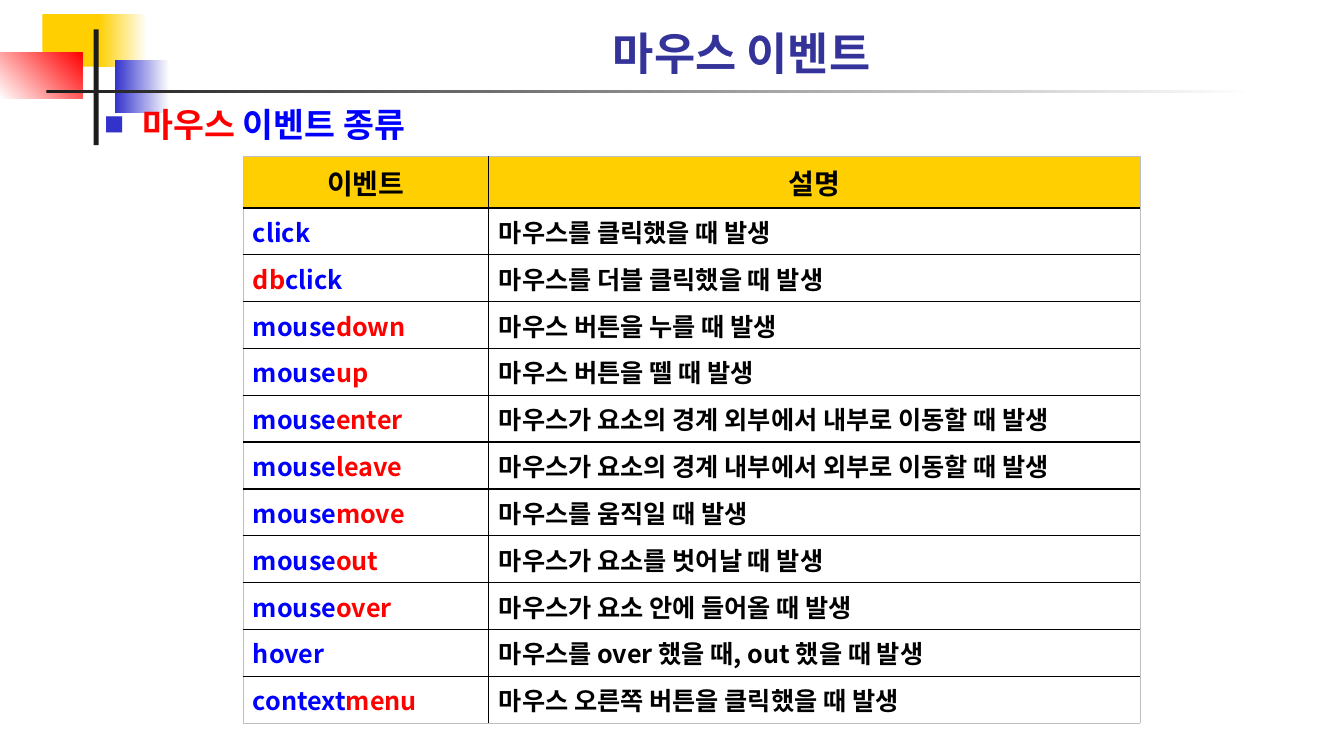
from dataclasses import dataclass
from typing import NamedTuple

from lxml.etree import SubElement
from pptx import Presentation
from pptx.dml.color import RGBColor
from pptx.enum.shapes import MSO_SHAPE
from pptx.enum.text import MSO_ANCHOR, MSO_AUTO_SIZE, PP_ALIGN
from pptx.oxml import parse_xml
from pptx.oxml.ns import nsdecls, qn
from pptx.util import Cm, Pt


@dataclass(frozen=True)
class Theme:
    font: str = "Noto Sans CJK KR"
    title: str = "333399"
    blue: str = "0000FF"
    red: str = "FF0000"
    yellow: str = "FFCF01"
    square: str = "3333CC"
    bar: str = "1C1C1C"
    black: str = "000000"
    white: str = "FFFFFF"
    edge: str = "BFBFBF"
    title_size: int = 32
    body_size: int = 24
    head_size: int = 20
    cell_size: int = 18


class Block(NamedTuple):
    left: float
    top: float
    width: float
    height: float
    color: str
    end: str = ""
    angle: int = 0


class Event(NamedTuple):
    name: tuple[tuple[str, str], ...]
    text: str


T = Theme()

BLOCKS = [
    Block(1.07, 0.36, 1.63, 1.32, T.yellow),
    Block(2.49, 0.36, 1.22, 1.32, T.yellow, T.white),
    Block(2.9, 1.52, 1.37, 1.32, T.square, T.white),
    Block(0, 1.32, 2.08, 1.17, T.white, T.red, 45),
    Block(2.36, 0.74, 0.13, 2.92, T.bar),
    Block(1.17, 2.26, 30.48, 0.08, T.bar, T.white),
]


def mouse(action: str) -> tuple[tuple[str, str], ...]:
    return ("mouse", T.blue), (action, T.red)


EVENTS = [
    Event((("click", T.blue),), "마우스를 클릭했을 때 발생"),
    Event((("db", T.red), ("click", T.blue)), "마우스를 더블 클릭했을 때 발생"),
    Event(mouse("down"), "마우스 버튼을 누를 때 발생"),
    Event(mouse("up"), "마우스 버튼을 뗄 때 발생"),
    Event(mouse("enter"), "마우스가 요소의 경계 외부에서 내부로 이동할 때 발생"),
    Event(mouse("leave"), "마우스가 요소의 경계 내부에서 외부로 이동할 때 발생"),
    Event(mouse("move"), "마우스를 움직일 때 발생"),
    Event(mouse("out"), "마우스가 요소를 벗어날 때 발생"),
    Event(mouse("over"), "마우스가 요소 안에 들어올 때 발생"),
    Event((("hover", T.blue),), "마우스를 over 했을 때, out 했을 때 발생"),
    Event((("context", T.blue), ("menu", T.red)), "마우스 오른쪽 버튼을 클릭했을 때 발생"),
]


def add_text(p, text: str, *, size: int, color: str = T.black) -> None:
    r = p.add_run()
    r.text = text
    r.font.name = T.font
    r.font.size = Pt(size)
    r.font.bold = True
    r.font.color.rgb = RGBColor.from_string(color)
    SubElement(r.font._element, qn("a:ea"), typeface=T.font)


def add_block(slide, block: Block) -> None:
    box = map(Cm, block[:4])
    sp = slide.shapes.add_shape(MSO_SHAPE.RECTANGLE, *box)
    sp.shadow.inherit = False
    sp.line.fill.background()
    if block.end:
        sp.fill.gradient()
        sp.fill.gradient_angle = block.angle
        for stop, color in zip(sp.fill.gradient_stops, (block.color, block.end)):
            stop.color.rgb = RGBColor.from_string(color)
    else:
        sp.fill.solid()
        sp.fill.fore_color.rgb = RGBColor.from_string(block.color)


def place(sp, left: float, top: float, width: float, height: float, anchor: MSO_ANCHOR):
    sp.left, sp.top, sp.width, sp.height = map(Cm, (left, top, width, height))
    tf = sp.text_frame
    tf.auto_size = MSO_AUTO_SIZE.NONE
    tf.vertical_anchor = anchor
    return tf.paragraphs[0]


def add_bullet(p) -> None:
    pPr = p._p.get_or_add_pPr()
    pPr.set("marL", str(Cm(0.95)))
    pPr.set("indent", str(Cm(-0.95)))
    SubElement(SubElement(pPr, qn("a:buClr")), qn("a:srgbClr"), val=T.square)
    SubElement(pPr, qn("a:buSzPct"), val="60000")
    SubElement(pPr, qn("a:buFont"), typeface=T.font)
    SubElement(pPr, qn("a:buChar"), char="■")


def set_borders(cell, outer: dict[str, bool]) -> None:
    tcPr = cell._tc.get_or_add_tcPr()
    for i, (side, is_outer) in enumerate(outer.items()):
        width, color = (Pt(0.5), T.edge) if is_outer else (Pt(1), T.black)
        tcPr.insert(i, parse_xml(
            f'<a:ln{side} {nsdecls("a")} w="{width}"><a:solidFill>'
            f'<a:srgbClr val="{color}"/></a:solidFill></a:ln{side}>'))


def add_event_table(slide) -> None:
    rows = len(EVENTS) + 1
    head_height, row_height = Cm(1.3), Cm(1.18)
    widths = Cm(6.2), Cm(16.41)
    height = head_height + row_height * len(EVENTS)
    table = slide.shapes.add_table(
        rows, 2, Cm(6.12), Cm(3.94), sum(widths), height).table
    table.first_row = table.horz_banding = False
    for column, width in zip(table.columns, widths):
        column.width = width
    for row in table.rows:
        row.height = row_height
    table.rows[0].height = head_height

    content = [((("이벤트", T.black),), (("설명", T.black),))]
    content += [(event.name, ((event.text, T.black),)) for event in EVENTS]
    for y, line in enumerate(content):
        for x, runs in enumerate(line):
            cell = table.cell(y, x)
            cell.vertical_anchor = MSO_ANCHOR.MIDDLE
            p = cell.text_frame.paragraphs[0]
            p.alignment = PP_ALIGN.LEFT if y else PP_ALIGN.CENTER
            for text, color in runs:
                add_text(p, text, size=T.cell_size if y else T.head_size, color=color)
            if y:
                cell.fill.background()
            else:
                cell.fill.solid()
                cell.fill.fore_color.rgb = RGBColor.from_string(T.yellow)
            set_borders(cell, {"L": x == 0, "R": x == 1, "T": y == 0, "B": y == rows - 1})


def main() -> None:
    prs = Presentation()
    prs.slide_width, prs.slide_height = Cm(33.87), Cm(19.05)
    slide = prs.slides.add_slide(prs.slide_layouts[1])
    title, body = slide.placeholders
    tree = slide.shapes._spTree

    for block in BLOCKS:
        add_block(slide, block)

    tree.append(body._element)
    p = place(body, 2.39, 2.49, 30.78, 14.53, MSO_ANCHOR.TOP)
    add_bullet(p)
    add_text(p, "마우스 ", size=T.body_size, color=T.red)
    add_text(p, "이벤트 종류", size=T.body_size, color=T.blue)

    add_event_table(slide)

    tree.append(title._element)
    p = place(title, 4.27, 0.58, 28.85, 1.55, MSO_ANCHOR.BOTTOM)
    p.alignment = PP_ALIGN.CENTER
    add_text(p, "마우스 이벤트", size=T.title_size, color=T.title)

    prs.save("out.pptx")


if __name__ == "__main__":
    main()
